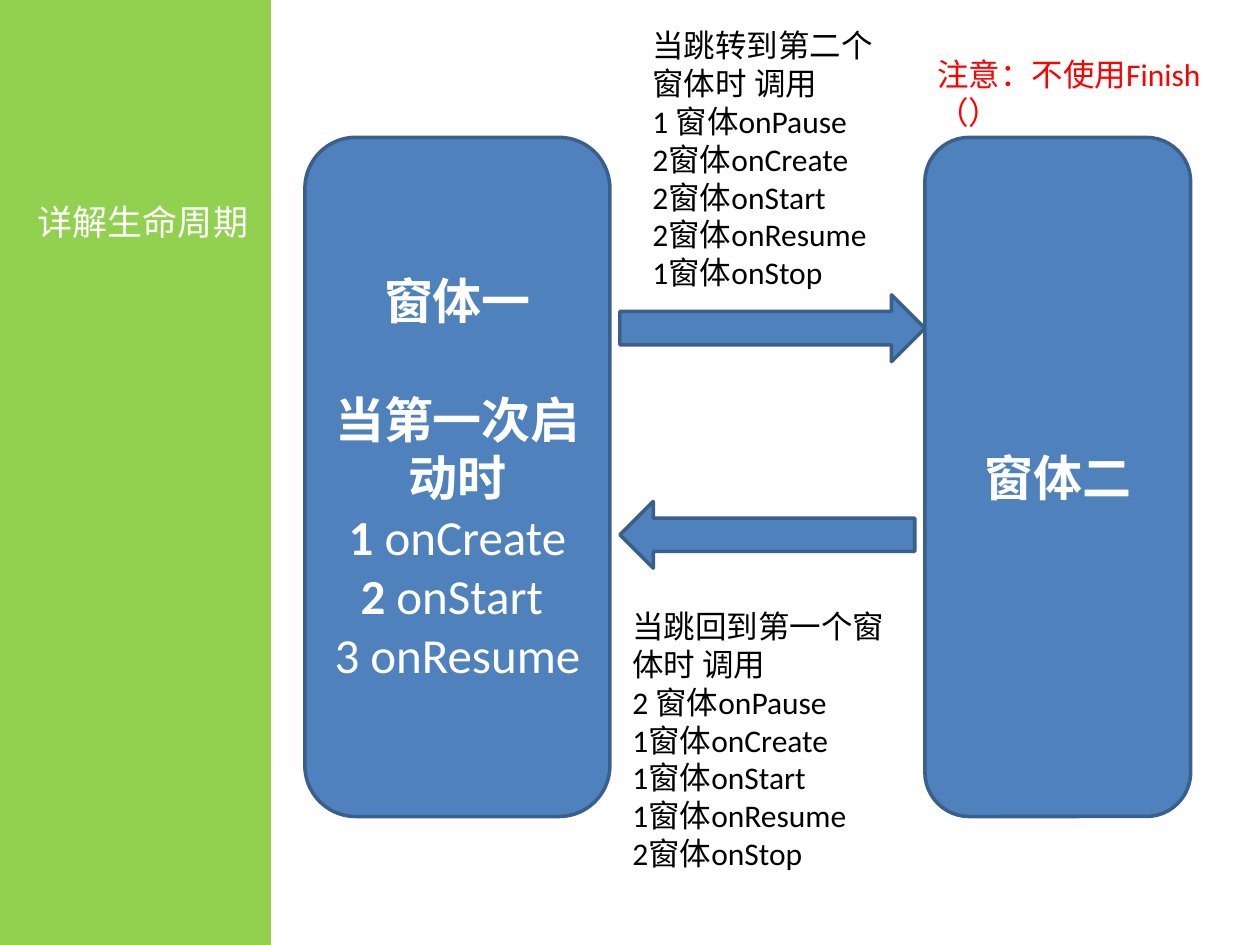
import pptx
import pptx.dml.color
import pptx.enum.shapes
import pptx.enum.text
import pptx.oxml.ns
import pptx.util
from lxml import etree

RGB = pptx.dml.color.RGBColor
GREEN = RGB(0x92, 0xD0, 0x50)
BLUE = RGB(0x4F, 0x81, 0xBD)
EDGE = RGB(0x3A, 0x5F, 0x8C)
WHITE = RGB(0xFF, 0xFF, 0xFF)
BLACK = RGB(0x00, 0x00, 0x00)
RED = RGB(0xFF, 0x00, 0x00)
LATIN, HAN = "Calibri", "Noto Sans CJK SC"

KIND = pptx.enum.shapes.MSO_SHAPE
ALIGN = pptx.enum.text.PP_ALIGN
ANCHOR = pptx.enum.text.MSO_ANCHOR
WIDTH, HEIGHT = 10, 7.5

# Shared rows and columns, in inches
PANEL_TOP, PANEL_HEIGHT = 1.09, 5.39
FIRST_LEFT, FIRST_WIDTH = 2.42, 2.42
SECOND_LEFT, SECOND_WIDTH = 7.34, 2.11
GAP_LEFT = 4.92
ARROW_HEIGHT = 0.53


def inches(box):
    return [pptx.util.Inches(value) for value in box]


def apply(target, values):
    for name, value in values.items():
        setattr(target, name, value)


def write(frame, paras, size, color, align, anchor, font=LATIN):
    """Fill a frame; each para is a list of (text, bold) spans."""
    apply(frame, {"word_wrap": True, "vertical_anchor": anchor})
    for index, spans in enumerate(paras):
        para = frame.paragraphs[0] if index == 0 else frame.add_paragraph()
        para.alignment = align
        for text, bold in spans:
            span = para.add_run()
            span.text = text
            apply(span.font, {"size": pptx.util.Pt(size), "bold": bold, "name": font})
            span.font.color.rgb = color
            east = etree.SubElement(span.font._element, pptx.oxml.ns.qn("a:ea"))
            east.set("typeface", HAN)


def add_block(page, kind, box, fill, edge=None):
    block = page.shapes.add_shape(kind, *inches(box))
    block.shadow.inherit = False
    block.fill.solid()
    block.fill.fore_color.rgb = fill
    if edge is None:
        block.line.fill.background()
    else:
        block.line.color.rgb = edge
        block.line.width = pptx.util.Pt(2)
    return block


def add_sidebar(page, box, text):
    """Green band at the back with the slide title on it."""
    left, top, width, height = box
    band = add_block(page, KIND.RECTANGLE, box, GREEN)
    page.shapes._spTree.insert(2, band._element)
    title = page.shapes.title
    place = inches((left + 0.08, top + 1.33, 2.11, 0.86))
    apply(title, dict(zip(("left", "top", "width", "height"), place)))
    write(title.text_frame, [[(text, False)]], 20, WHITE, ALIGN.CENTER, ANCHOR.MIDDLE, HAN)


def add_window(page, box, paras):
    """Rounded panel standing for one window."""
    panel = add_block(page, KIND.ROUNDED_RECTANGLE, box, BLUE, EDGE)
    write(panel.text_frame, paras, 28, WHITE, ALIGN.CENTER, ANCHOR.MIDDLE)
    return panel


def add_note(page, box, lines, color=BLACK):
    note = page.shapes.add_textbox(*inches(box))
    write(note.text_frame, [[(line, False)] for line in lines],
          18, color, ALIGN.LEFT, ANCHOR.TOP)


def call_order(heading, leaving, entering):
    """Lifecycle calls when one window gives way to another."""
    starts = [f"{entering}窗体{call}" for call in ("onCreate", "onStart", "onResume")]
    return [heading, f"{leaving} 窗体onPause", *starts, f"{leaving}窗体onStop"]


def main():
    deck = pptx.Presentation()
    deck.slide_width, deck.slide_height = inches((WIDTH, HEIGHT))
    page = deck.slides.add_slide(deck.slide_layouts[5])

    add_sidebar(page, (0, 0, 2.15, HEIGHT), "详解生命周期")

    # The two windows
    first = add_window(page, (FIRST_LEFT, PANEL_TOP, FIRST_WIDTH, PANEL_HEIGHT), [
        [("窗体一", True)],
        [("当第一次启动时", True)],
        [("1 ", True), ("onCreate", False)],
        [("2 ", True), ("onStart ", False)],
        [("3 onResume ", False)],
    ])
    first.text_frame.paragraphs[1].space_before = pptx.util.Pt(34)
    add_window(page, (SECOND_LEFT, PANEL_TOP, SECOND_WIDTH, PANEL_HEIGHT),
               [[("窗体二", True)]])

    # Jump to the second window, and back
    add_block(page, KIND.RIGHT_ARROW, (GAP_LEFT, 2.34, 2.42, ARROW_HEIGHT), BLUE, EDGE)
    add_note(page, (5.08, 0.16, 2.11, 2.22), call_order("当跳转到第二个窗体时 调用", 1, 2))
    add_block(page, KIND.LEFT_ARROW, (GAP_LEFT, 3.98, 2.34, ARROW_HEIGHT), BLUE, EDGE)
    add_note(page, (GAP_LEFT, 4.77, 2.42, 2.52), call_order("当跳回到第一个窗体时 调用", 2, 1))

    # Warning above the second window
    add_note(page, (SECOND_LEFT, 0.39, WIDTH - SECOND_LEFT, 0.4),
             ["注意：不使用Finish（）"], RED)

    deck.save("out.pptx")


if __name__ == "__main__":
    main()
